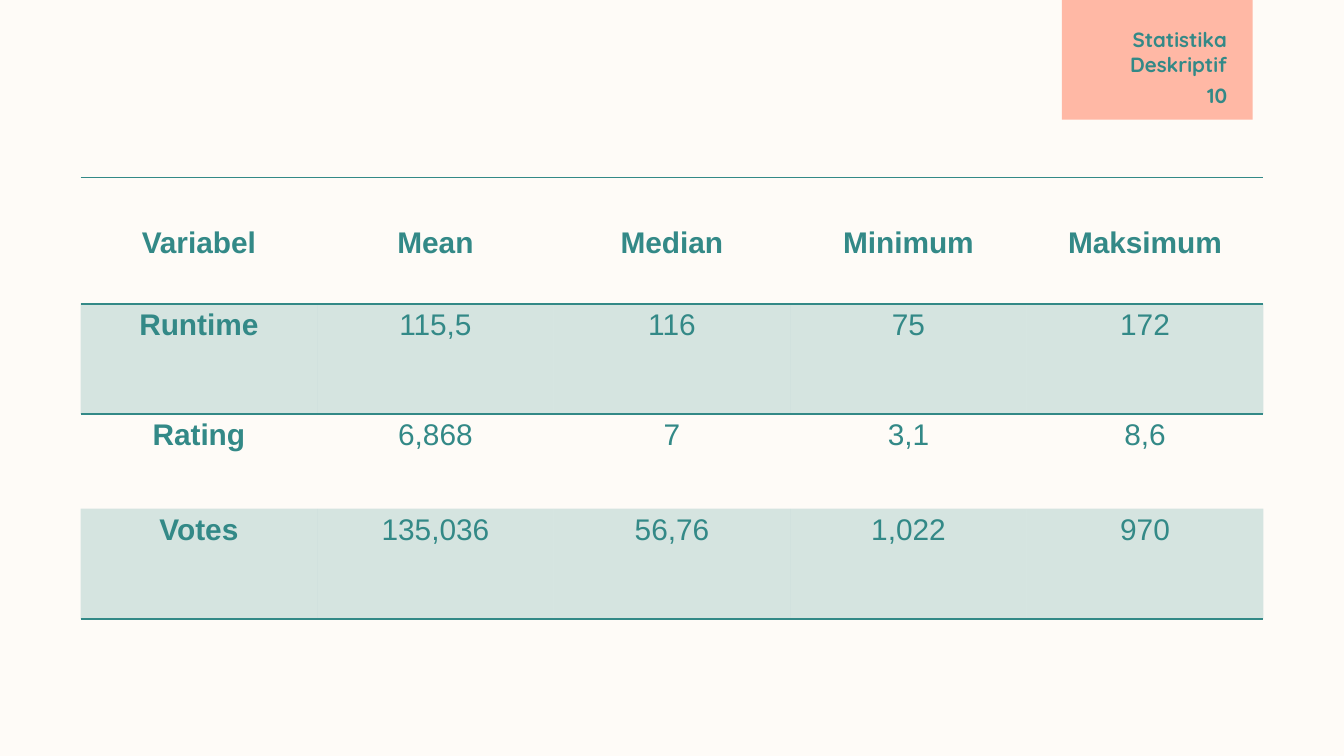
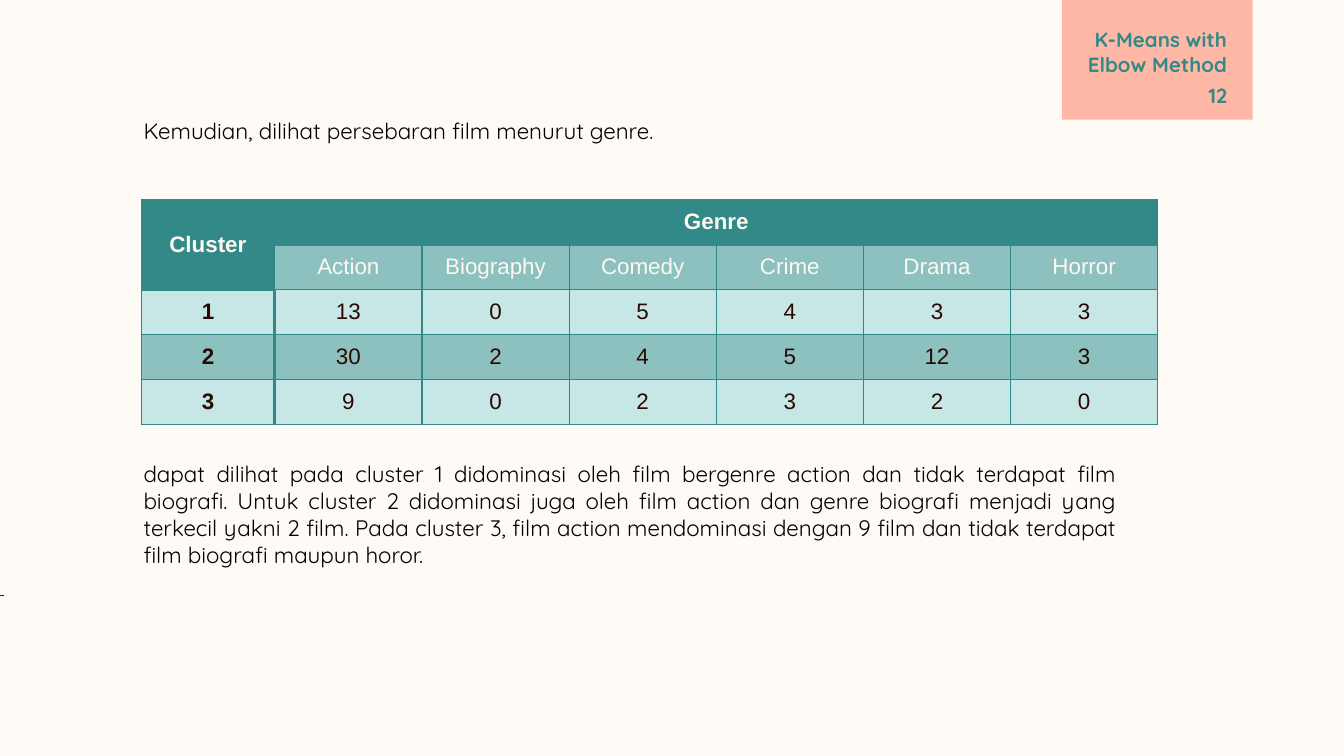
from dataclasses import dataclass

import pptx
import pptx.dml.color
import pptx.enum.shapes
import pptx.enum.text
import pptx.oxml
import pptx.oxml.ns
import pptx.util

ALIGN = pptx.enum.text.PP_ALIGN
ANCHOR = pptx.enum.text.MSO_ANCHOR
EMU_PER_PX = 4572
NO_GRID_STYLE = "{2D5ABB26-0587-4C30-8999-92F81FD0307C}"


@dataclass(frozen=True)
class Theme:
    paper: str = "FEFBF7"
    peach: str = "FFB8A5"
    teal: str = "338987"
    grid: str = "308886"
    teal_mid: str = "8CC1C0"
    teal_light: str = "C6E7E6"
    cream: str = "FDF8F1"
    brown: str = "2A0900"
    black: str = "000000"
    dash: str = "1F1F1F"
    text_font: str = "Quicksand"
    table_font: str = "Arial"
    title_size: int = 11
    body_size: int = 12
    genre_size: int = 12
    statistics_size: int = 16
    hairline: float = 0.3
    thin: float = 0.75
    rule: float = 1
    heavy: float = 2


def px(length):
    return pptx.util.Emu(length * EMU_PER_PX)


def rgb(color):
    return pptx.dml.color.RGBColor.from_string(color)


def drawing_xml(tag, content=""):
    return pptx.oxml.parse_xml(f'<a:{tag} {pptx.oxml.ns.nsdecls("a")}>{content}</a:{tag}>')


class Deck:
    def __init__(self, theme):
        self.theme = theme
        self.presentation = pptx.Presentation()
        self.presentation.slide_width = px(2000)
        self.presentation.slide_height = px(1125)
        paper = self.presentation.slide_master.background.fill
        paper.solid()
        paper.fore_color.rgb = rgb(theme.paper)
        self.slide = None

    def new_slide(self, title_lines, title_left, number):
        self.slide = self.presentation.slides.add_slide(self.presentation.slide_layouts[5])
        self.band(1580, 0, 284, 178)
        self.title(title_lines, title_left)
        self.text(str(number), 1726, 104, 120, 86, self.theme.title_size,
                  self.theme.teal, bold=True, align=ALIGN.RIGHT)

    def band(self, left, top, width, height):
        band = self.slide.shapes.add_shape(
            pptx.enum.shapes.MSO_SHAPE.RECTANGLE, px(left), px(top), px(width), px(height))
        band.shadow.inherit = False
        band.fill.solid()
        band.fill.fore_color.rgb = rgb(self.theme.peach)
        band.line.fill.background()
        self.slide.shapes.element.insert(2, band.element)

    def title(self, lines, left, right=1846):
        title = self.slide.shapes.title
        title.left, title.top = px(left), px(28)
        title.width, title.height = px(right - left), px(106)
        self.frame(title.text_frame, ANCHOR.BOTTOM)
        for index, line in enumerate(lines):
            paragraph = (title.text_frame.add_paragraph() if index
                         else title.text_frame.paragraphs[0])
            paragraph.alignment = ALIGN.RIGHT
            self.run(paragraph, line, self.theme.text_font, self.theme.title_size,
                     self.theme.teal, True)

    def frame(self, frame, anchor):
        frame.word_wrap = True
        frame.auto_size = pptx.enum.text.MSO_AUTO_SIZE.NONE
        frame.vertical_anchor = anchor
        frame.margin_left = frame.margin_right = px(20)
        frame.margin_top = frame.margin_bottom = px(20)

    def run(self, paragraph, text, font, size, color, bold):
        run = paragraph.add_run()
        run.text = text
        run.font.name = font
        run.font.size = pptx.util.Pt(size)
        run.font.bold = bold
        run.font.color.rgb = rgb(color)

    def text(self, text, left, top, width, height, size, color, bold=False, align=ALIGN.LEFT):
        box = self.slide.shapes.add_textbox(px(left), px(top), px(width), px(height))
        self.frame(box.text_frame, ANCHOR.TOP)
        paragraph = box.text_frame.paragraphs[0]
        paragraph.alignment = align
        self.run(paragraph, text, self.theme.text_font, size, color, bold)

    def line(self, left, top, right, bottom, color, weight):
        line = self.slide.shapes.add_connector(
            pptx.enum.shapes.MSO_CONNECTOR.STRAIGHT, px(left), px(top), px(right), px(bottom))
        line.line.color.rgb = rgb(color)
        line.line.width = pptx.util.Pt(weight)
        line.element.spPr.append(drawing_xml("effectLst"))

    def table(self, left, top, widths, heights):
        holder = self.slide.shapes.add_table(
            len(heights), len(widths), px(left), px(top), px(sum(widths)), px(sum(heights)))
        table = holder.table
        table.first_row = table.horz_banding = False
        holder.element.xpath(".//a:tableStyleId")[0].text = NO_GRID_STYLE
        for column, width in zip(table.columns, widths):
            column.width = px(width)
        for row, height in zip(table.rows, heights):
            row.height = px(height)
        return table

    def cell(self, cell, text, size, color, bold, margin, anchor=ANCHOR.MIDDLE, spacing=1.0):
        cell.margin_left = cell.margin_right = px(margin)
        cell.margin_top = cell.margin_bottom = 0
        cell.vertical_anchor = anchor
        paragraph = cell.text_frame.paragraphs[0]
        paragraph.alignment = ALIGN.CENTER
        paragraph.line_spacing = spacing
        if text:
            self.run(paragraph, text, self.theme.table_font, size, color, bold)

    def cell_fill(self, cell, color, opacity=100):
        if color is None:
            cell.fill.background()
            return
        cell.fill.solid()
        cell.fill.fore_color.rgb = rgb(color)
        if opacity < 100:
            shade = cell.fill.fore_color
            shade_element = cell._tc.tcPr.xpath("./a:solidFill/a:srgbClr")[0]
            alpha = drawing_xml("alpha")
            alpha.set("val", str(opacity * 1000))
            shade_element.append(alpha)

    def cell_edges(self, cell, edges):
        properties = cell._tc.get_or_add_tcPr()
        sides = [side for side in "LRTB" if side in edges]
        for position, side in enumerate(sides):
            color, weight = edges[side]
            edge = drawing_xml(
                f"ln{side}", f'<a:solidFill><a:srgbClr val="{color}"/></a:solidFill>')
            edge.set("w", str(pptx.util.Pt(weight)))
            properties.insert(position, edge)


def descriptive_statistics(deck):
    theme = deck.theme
    deck.new_slide(["Statistika Deskriptif"], 1584, 10)
    statistics = [
        ["Variabel", "Mean", "Median", "Minimum", "Maksimum"],
        ["Runtime", "115,5", "116", "75", "172"],
        ["Rating", "6,868", "7", "3,1", "8,6"],
        ["Votes", "135,036", "56,76", "1,022", "970"],
    ]
    table = deck.table(120, 264, [352] * 5, [188, 164, 141, 164])
    rule = (theme.teal, theme.rule)
    row_edges = [{"T": rule, "B": rule}, {"T": rule}, {}, {"B": rule}]
    for row, values in enumerate(statistics):
        for column, value in enumerate(values):
            cell = table.cell(row, column)
            deck.cell(cell, value, theme.statistics_size, theme.teal,
                      row == 0 or column == 0, 14,
                      ANCHOR.TOP if row else ANCHOR.MIDDLE, 1.15)
            deck.cell_fill(cell, theme.teal if row % 2 else None, 20)
            deck.cell_edges(cell, row_edges[row])


def genre_distribution(deck):
    theme = deck.theme
    deck.new_slide(["K-Means with", "Elbow Method"], 1218, 12)
    deck.line(0, 886, 6, 886, theme.dash, theme.hairline)
    deck.text("Kemudian, dilihat persebaran film menurut genre.",
              194, 154, 1488, 84, theme.body_size, theme.black)
    genres = [
        ["Cluster", "Genre", "", "", "", "", ""],
        ["", "Action", "Biography", "Comedy", "Crime", "Drama", "Horror"],
        ["1", "13", "0", "5", "4", "3", "3"],
        ["2", "30", "2", "4", "5", "12", "3"],
        ["3", "9", "0", "2", "3", "2", "0"],
    ]
    table = deck.table(210, 297, [199] + [219] * 6, [67] * 5)
    row_fills = [theme.teal, theme.teal_mid, theme.teal_light, theme.teal_mid, theme.teal_light]
    thin, heavy = (theme.grid, theme.thin), (theme.teal, theme.heavy)
    for row, values in enumerate(genres):
        for column, value in enumerate(values):
            cell = table.cell(row, column)
            header = row < 2
            stub = column == 0
            deck.cell(cell, value, theme.genre_size, theme.cream if header else theme.brown,
                      row == 0 or stub, 4)
            deck.cell_fill(cell, theme.teal if header and stub else row_fills[row])
            edges = dict.fromkeys("LRTB", thin)
            if not header and column < 2:
                edges["R" if stub else "L"] = heavy
            if row == 0:
                edges["B"] = heavy
            deck.cell_edges(cell, edges)
    table.cell(0, 0).merge(table.cell(1, 0))
    table.cell(0, 1).merge(table.cell(0, 6))
    deck.text("dapat dilihat pada cluster 1 didominasi oleh film bergenre action dan tidak "
              "terdapat film biografi. Untuk cluster 2 didominasi juga oleh film action dan "
              "genre biografi menjadi yang terkecil yakni 2 film. Pada cluster 3, film action "
              "mendominasi dengan 9 film dan tidak terdapat film biografi maupun horor.",
              194, 665, 1488, 206, theme.body_size, theme.black, align=ALIGN.JUSTIFY)


def main():
    deck = Deck(Theme())
    descriptive_statistics(deck)
    genre_distribution(deck)
    deck.presentation.save("out.pptx")


if __name__ == "__main__":
    main()
